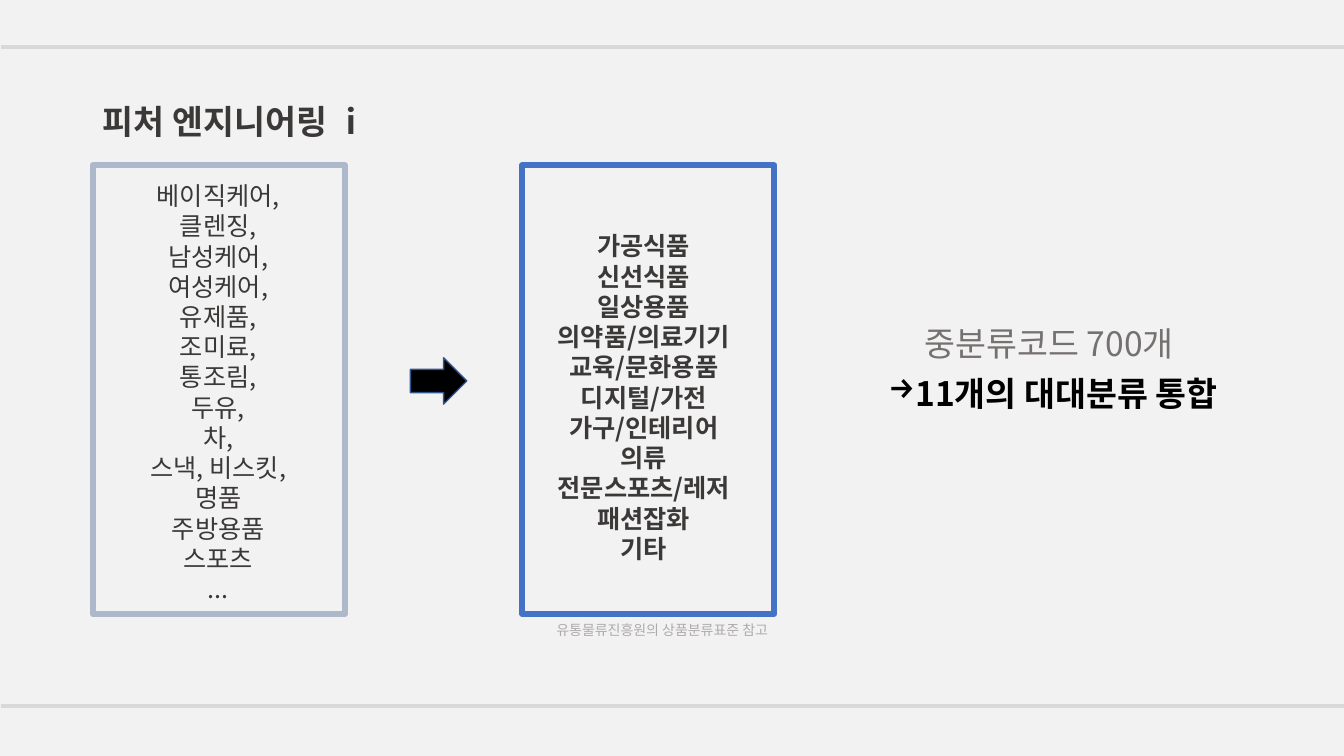
from dataclasses import dataclass

from lxml.etree import SubElement
from pptx import Presentation
from pptx.dml.color import RGBColor
from pptx.enum.dml import MSO_LINE
from pptx.enum.shapes import MSO_SHAPE as Shape
from pptx.enum.text import MSO_ANCHOR as Anchor, PP_ALIGN as Align
from pptx.oxml.ns import qn
from pptx.util import Inches, Pt

FONT = "Noto Sans CJK KR"
COLORS = {
    "background": "F2F2F2",
    "band": "D9D9D9",
    "dark": "3B3838",
    "gray": "767171",
    "caption": "AFABAB",
    "black": "000000",
    "before": "ADB9CA",
    "after": "4472C4",
    "arrow_line": "325491",
}


@dataclass(frozen=True)
class Area:
    left: float
    top: float
    width: float
    height: float

    def lengths(self) -> list:
        return [Inches(v) for v in (self.left, self.top, self.width, self.height)]


@dataclass(frozen=True)
class CategoryList:
    frame: Area
    text: Area
    line: str
    bold: bool
    items: tuple


CATEGORY_LISTS = (
    CategoryList(
        Area(0.92, 1.64, 2.5, 4.45), Area(1.08, 1.74, 2.17, 4.34), "before", False,
        ("베이직케어,", "클렌징,", "남성케어,", "여성케어,", "유제품,", "조미료,", "통조림,",
         "두유,", "차,", "스낵, 비스킷,", "명품", "주방용품", "스포츠", "..."),
    ),
    CategoryList(
        Area(5.18, 1.64, 2.5, 4.45), Area(5.09, 2.24, 2.59, 3.43), "after", True,
        ("가공식품", "신선식품", "일상용품", "의약품/의료기기", "교육/문화용품", "디지털/가전",
         "가구/인테리어", "의류", "전문스포츠/레저", "패션잡화", "기타"),
    ),
)


def color(name: str) -> RGBColor:
    return RGBColor.from_string(COLORS[name])


def format_text(para, text: str, *, size: float, ink: str, bold: bool = False,
                align=Align.LEFT, leading: float = 1.2, before: float = 0) -> None:
    """Fill a paragraph with one formatted span."""
    para.alignment = align
    para.line_spacing = Pt(round(size * leading, 1))
    para.space_before = Pt(before)
    span = para.add_run()
    span.text = text
    span.font.name = FONT
    span.font.size = Pt(size)
    span.font.bold = bold
    span.font.color.rgb = color(ink)
    SubElement(span.font._element, qn("a:ea"), typeface=FONT)


def add_text(page, area: Area, lines, **style):
    """Add a text box with one paragraph per line."""
    box = page.shapes.add_textbox(*area.lengths())
    frame = box.text_frame
    frame.word_wrap = True
    for index, line in enumerate(lines):
        para = frame.add_paragraph() if index else frame.paragraphs[0]
        format_text(para, line, **style)
    return box


def add_block(page, kind, area: Area, *, line: str, weight: float, fill: str = ""):
    """Add a preset shape, hollow unless a fill is named."""
    block = page.shapes.add_shape(kind, *area.lengths())
    block.shadow.inherit = False
    if fill:
        block.fill.solid()
        block.fill.fore_color.rgb = color(fill)
    else:
        block.fill.background()
    block.line.color.rgb = color(line)
    block.line.width = Pt(weight)
    return block


def add_arrow_bullet(para) -> None:
    properties = para._p.get_or_add_pPr()
    properties.set("marL", str(Inches(0.25)))
    properties.set("indent", str(-Inches(0.25)))
    SubElement(properties, qn("a:buChar"), char="→")


def main() -> None:
    deck = Presentation()
    deck.slide_width, deck.slide_height = Inches(13.33), Inches(7.5)
    page = deck.slides.add_slide(deck.slide_layouts[5])
    page.background.fill.solid()
    page.background.fill.fore_color.rgb = color("background")

    # Title
    title = page.shapes.title
    title.left, title.top, title.width, title.height = Area(0.92, 0.81, 3.06, 0.83).lengths()
    title.text_frame.vertical_anchor = Anchor.MIDDLE
    title.text_frame.word_wrap = True
    format_text(title.text_frame.paragraphs[0], "피처 엔지니어링 ⅰ",
                size=24, ink="dark", bold=True, leading=1.08)

    # Summary on the right
    summary = add_text(page, Area(8.24, 3.19, 4.41, 1.24), ["중분류코드 700개 "],
                       size=24, ink="gray", align=Align.CENTER, leading=1.08, before=10)
    result = summary.text_frame.add_paragraph()
    format_text(result, "11개의 대대분류 통합", size=24, ink="black", bold=True,
                align=Align.CENTER, leading=1.08, before=10)
    add_arrow_bullet(result)

    # Category lists before and after merging
    for group in CATEGORY_LISTS:
        add_text(page, group.text, group.items, size=18, ink="dark",
                 bold=group.bold, align=Align.CENTER)
        add_block(page, Shape.RECTANGLE, group.frame, line=group.line, weight=4.5)
    add_block(page, Shape.RIGHT_ARROW, Area(4.07, 3.55, 0.56, 0.46),
              line="arrow_line", weight=1, fill="black")

    # Reference note
    add_text(page, Area(5.42, 6.12, 2.5, 0.28), ["유통물류진흥원의 상품분류표준 참고"],
             size=10, ink="caption")

    # Bands at the bottom and top
    for top in (6.98, 0.44):
        band = add_block(page, Shape.RECTANGLE, Area(0, top, 13.33, 0.05),
                         line="background", weight=0.25, fill="band")
        band.line.dash_style = MSO_LINE.ROUND_DOT

    deck.save("out.pptx")


if __name__ == "__main__":
    main()
